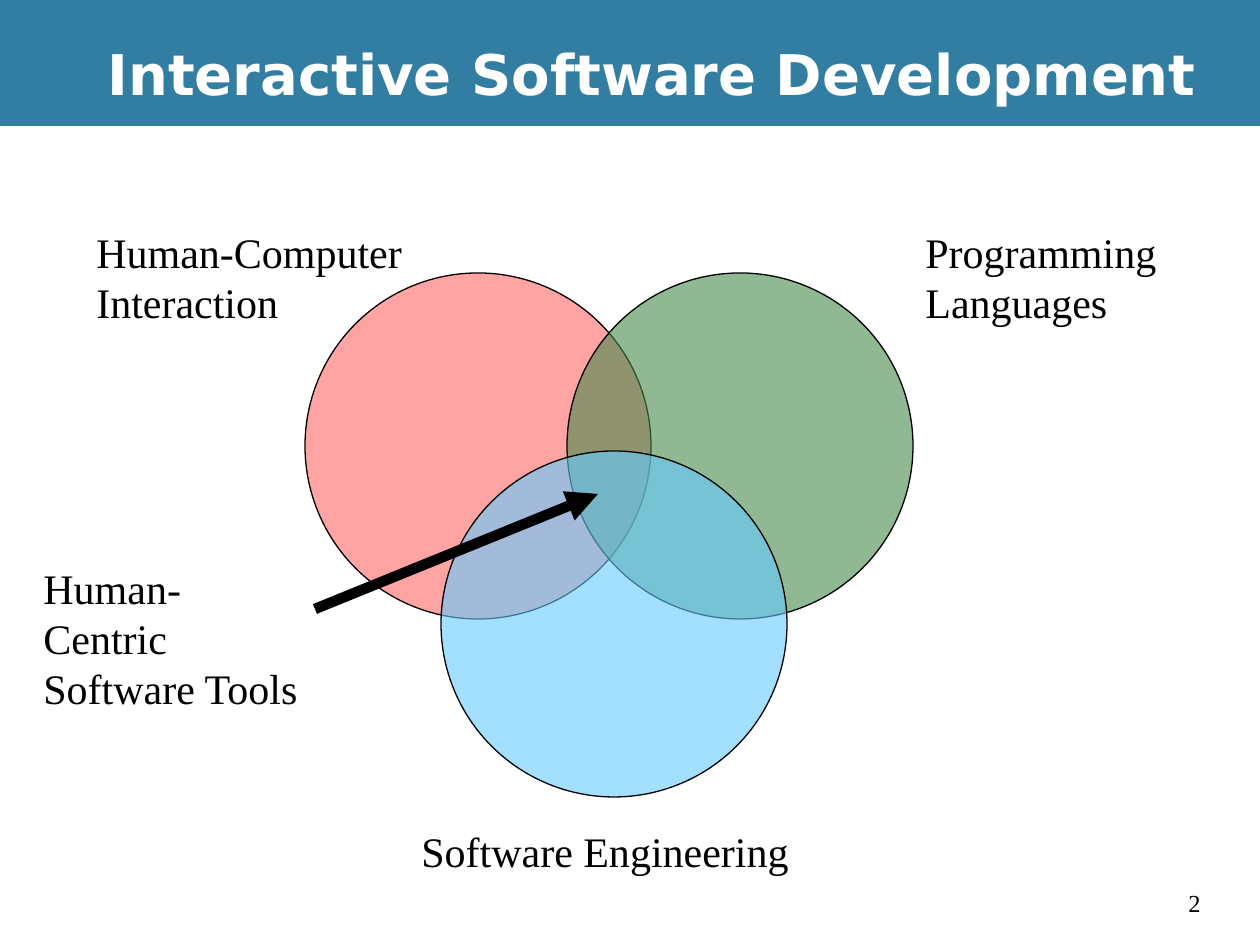
from lxml import etree
from pptx import Presentation, util as u
from pptx.dml.color import RGBColor
from pptx.enum import shapes, text
from pptx.oxml import ns

PX = u.Inches(1) // 126
SERIF = "Times New Roman"
SANS = "DejaVu Sans"
BLACK, WHITE = "000000", "FFFFFF"
SIZE = 346  # circle diameter


def px(*nums):
    return [u.Emu(n * PX) for n in nums]


def rgb(code):
    return RGBColor.from_string(code)


def add_child(node, tag, **attrs):
    return etree.SubElement(node, ns.qn(tag), **attrs)


def add_block(slide, kind, box, fill):
    block = slide.shapes.add_shape(kind, *px(*box))
    block.shadow.inherit = False
    block.fill.solid()
    block.fill.fore_color.rgb = rgb(fill)
    block.line.fill.background()
    return block


def add_disc(slide, left, top, fill):
    """Add a circle at 60% opacity with a thin outline."""
    disc = add_block(slide, shapes.MSO_SHAPE.OVAL, (left, top, SIZE, SIZE), fill)
    color = disc._element.spPr.find(ns.qn("a:solidFill"))[0]
    add_child(color, "a:alpha", val="60000")
    disc.line.color.rgb = rgb(BLACK)
    disc.line.width = u.Pt(0.75)


def add_label(slide, box, words, size=24, face=SERIF, color=BLACK, bold=False):
    label = slide.shapes.add_textbox(*px(*box))
    frame = label.text_frame
    frame.word_wrap = False
    frame.text = words
    for para in frame.paragraphs:
        for run in para.runs:
            font = run.font
            font.name, font.size, font.bold = face, u.Pt(size), bold
            font.color.rgb = rgb(color)
    return frame


def add_arrow(slide, start, end):
    arrow = slide.shapes.add_connector(
        shapes.MSO_CONNECTOR.STRAIGHT, *px(*start, *end))
    arrow.line.color.rgb = rgb(BLACK)
    arrow.line.width = u.Pt(6)
    add_child(arrow.line._get_or_add_ln(), "a:tailEnd", type="triangle")
    add_child(arrow._element.spPr, "a:effectLst")


def main():
    deck = Presentation()
    deck.slide_width, deck.slide_height = px(1260, 945)
    slide = deck.slides.add_slide(deck.slide_layouts[6])
    back = slide.background.fill
    back.solid()
    back.fore_color.rgb = rgb(BLACK)

    rect = shapes.MSO_SHAPE.RECTANGLE
    add_block(slide, rect, (0, 126, 1260, 819), WHITE)
    add_block(slide, rect, (0, 0, 1260, 126), "327EA3")
    add_label(slide, (1176, 882, 63, 42), "2", size=14)
    title = add_label(slide, (95, 10, 1165, 126), "Interactive Software Development",
                      size=32, face=SANS, color=WHITE, bold=True)
    title.word_wrap = True
    title.vertical_anchor = text.MSO_ANCHOR.MIDDLE

    fields = [
        (305, 273, "FF6666", (84, 220, 331, 113), "Human-Computer\nInteraction"),
        (567, 273, "468A4B", (913, 220, 256, 113), "Programming\nLanguages"),
        (441, 451, "66CCFF", (409, 819, 393, 63), "Software Engineering"),
    ]
    for left, top, fill, box, words in fields:
        add_disc(slide, left, top, fill)
        add_label(slide, box, words)

    add_arrow(slide, (315, 609), (598, 494))
    add_label(slide, (31, 556, 286, 113), "Human-Centric\nSoftware Tools")
    deck.save("out.pptx")


if __name__ == "__main__":
    main()
